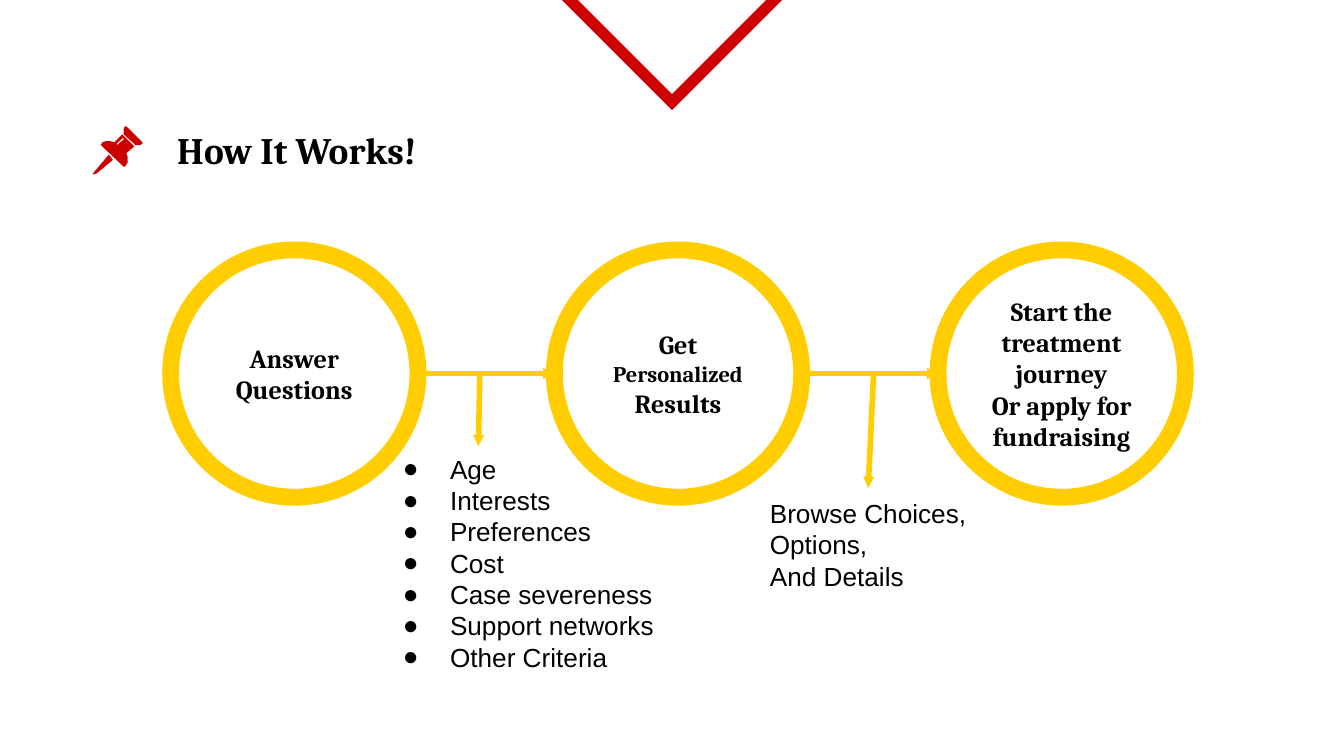
from lxml.etree import SubElement
from pptx import Presentation
from pptx.dml.color import RGBColor
from pptx.enum.shapes import MSO_CONNECTOR, MSO_SHAPE
from pptx.enum.text import MSO_ANCHOR, PP_ALIGN
from pptx.oxml.ns import qn
from pptx.util import Inches, Pt

RED, YELLOW, BLACK = "CC0000", "FFCD00", "000000"
HEADING = {"name": "Cambria", "bold": True}
BODY = {"name": "Arial", "bold": False}
DIAMETER = 1.84

PIN = [
    [[(12, 21), (1, 34), (0, 36), (3, 35), (15, 25)]],
    [[(25, 0), (24, 0), (23, 2), (23, 6), (32, 14), (35, 14),
      (37, 13), (37, 12), (26, 1)]],
    [[(22, 6), (16, 12), (13, 11), (10, 11), (7, 12), (6, 14), (23, 30),
      (24, 30), (26, 27), (26, 23), (25, 20), (31, 15)],
     [(22, 9), (23, 9), (23, 10), (18, 14), (18, 13)]],
]


def rgb(value):
    return RGBColor.from_string(value)


def set_line(sp, color, width):
    sp.line.color.rgb = rgb(color)
    sp.line.width = Pt(width)


def add_outline(s, kind, box, color, width):
    sp = s.shapes.add_shape(kind, *map(Inches, box))
    sp.shadow.inherit = False
    sp.fill.background()
    set_line(sp, color, width)
    return sp


def add_bullet(p, char, size):
    pPr = p._p.get_or_add_pPr()
    pPr.set("marL", str(Inches(0.5)))
    pPr.set("indent", str(Inches(-0.35)))
    clr = SubElement(pPr, qn("a:buClr"))
    SubElement(clr, qn("a:srgbClr"), val=BLACK)
    SubElement(pPr, qn("a:buSzPts"), val=str(size * 100))
    SubElement(pPr, qn("a:buFont"), typeface="Arial")
    SubElement(pPr, qn("a:buChar"), char=char)


def write_text(sp, paragraphs, style, anchor, align=PP_ALIGN.LEFT, bullet=None):
    tf = sp.text_frame
    margins = {f"margin_{side}": Inches(0.1)
               for side in ("left", "top", "right", "bottom")}
    layout = {"word_wrap": True, "vertical_anchor": anchor, **margins}
    for key, value in layout.items():
        setattr(tf, key, value)
    for i, runs in enumerate(paragraphs):
        p = tf.add_paragraph() if i else tf.paragraphs[0]
        p.alignment = align
        if bullet:
            add_bullet(p, bullet, runs[0][1])
        for text, size in runs:
            r = p.add_run()
            r.text = text
            for key, value in {**style, "size": Pt(size)}.items():
                setattr(r.font, key, value)
            r.font.color.rgb = rgb(BLACK)


def add_text(s, box, paragraphs, style, anchor=MSO_ANCHOR.TOP, bullet=None):
    sp = s.shapes.add_textbox(*map(Inches, box))
    write_text(sp, paragraphs, style, anchor, bullet=bullet)


def add_arrow(s, x1, y1, x2, y2):
    cn = s.shapes.add_connector(MSO_CONNECTOR.STRAIGHT,
                                *map(Inches, (x1, y1, x2, y2)))
    set_line(cn, YELLOW, 3)
    SubElement(cn.line._get_or_add_ln(), qn("a:tailEnd"),
               type="triangle", w="sm", len="sm")
    SubElement(cn._element.spPr, qn("a:effectLst"))


def add_chevron(s, box):
    sp = add_outline(s, MSO_SHAPE.ISOSCELES_TRIANGLE, box, RED, 6)
    sp.rotation = 180
    SubElement(sp.line._get_or_add_ln(), qn("a:miter"), lim="800000")


def add_pin(s, x, y):
    for contours in PIN:
        builder = None
        for start, *rest in contours:
            if builder is None:
                builder = s.shapes.build_freeform(*start, scale=Inches(0.01))
            else:
                builder.move_to(*start)
            builder.add_line_segments(rest, close=True)
        sp = builder.convert_to_shape(Inches(x), Inches(y))
        sp.shadow.inherit = False
        sp.fill.solid()
        sp.fill.fore_color.rgb = rgb(RED)
        sp.line.fill.background()


def add_header(s, x, y):
    add_pin(s, x, y + 0.05)
    add_text(s, (x + 0.53, y, 4.24, 0.45), [[("How It Works!", 20)]],
             HEADING, MSO_ANCHOR.MIDDLE)


def add_steps(s, x, y, width, steps):
    pitch = (width - DIAMETER) / (len(steps) - 1)
    middle = y + DIAMETER / 2
    for i, paragraphs in enumerate(steps):
        left = x + i * pitch
        sp = add_outline(s, MSO_SHAPE.OVAL, (left, y, DIAMETER, DIAMETER),
                         YELLOW, 9)
        write_text(sp, paragraphs, HEADING, MSO_ANCHOR.MIDDLE, PP_ALIGN.CENTER)
        if i:
            add_arrow(s, left - pitch + DIAMETER, middle, left, middle)


def add_details(s, box, lines, arrow, bullet=None):
    add_text(s, box, [[(line, 14)] for line in lines], BODY, bullet=bullet)
    add_arrow(s, *arrow)


def main():
    prs = Presentation()
    prs.slide_width = Inches(10)
    prs.slide_height = prs.slide_width * 9 // 16
    s = prs.slides.add_slide(prs.slide_layouts[6])
    add_chevron(s, (4.18, -0.06, 1.64, 0.82))
    add_header(s, 0.69, 0.89)
    add_steps(s, 1.27, 1.86, 7.55, [
        [[("Answer Questions", 14)]],
        [[("Get ", 14), ("Personalized", 12)], [("Results", 14)]],
        [[("Start the treatment journey", 14)],
         [("Or apply for fundraising", 14)]],
    ])
    add_details(s, (2.75, 3.27, 7.61, 0.89),
                ["Age", "Interests", "Preferences", "Cost", "Case severeness",
                 "Support networks", "Other Criteria"],
                (3.57, 2.78, 3.56, 3.32), bullet="●")
    add_details(s, (5.63, 3.6, 1.84, 0.89),
                ["Browse Choices,", "Options,", "And Details"],
                (6.5, 2.78, 6.46, 3.63))
    prs.save("out.pptx")


if __name__ == "__main__":
    main()
